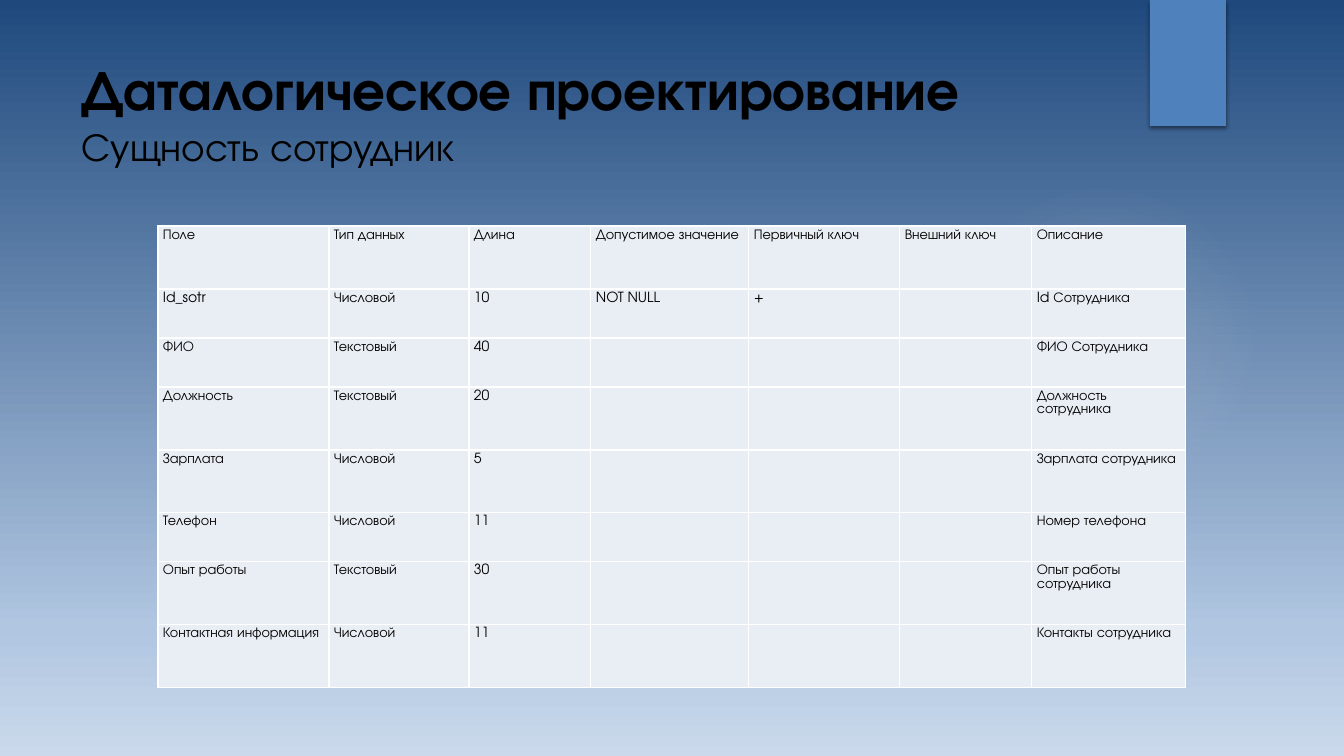
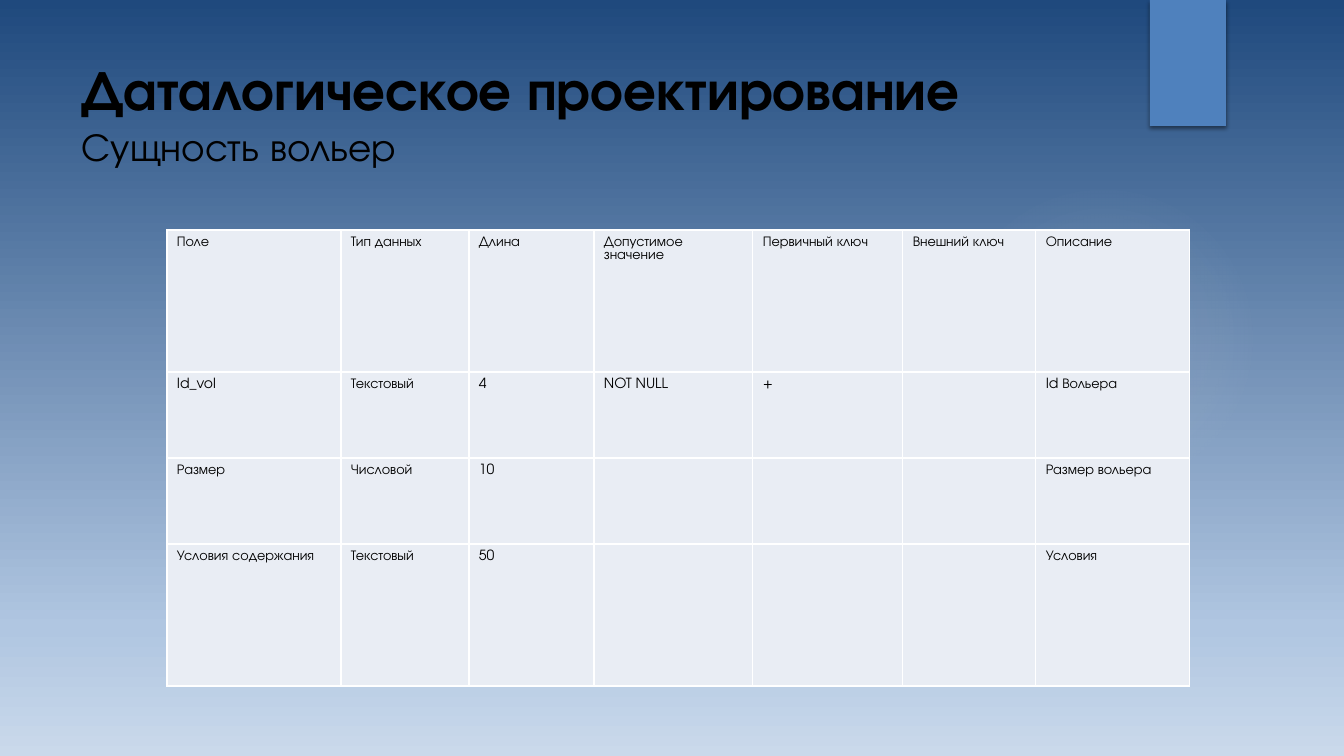
"""Build two slides that describe database entities as field tables."""
import pptx
import pptx.dml.color
import pptx.enum.shapes
import pptx.enum.text
import pptx.oxml
import pptx.oxml.ns
import pptx.util

PX = 914400 / 100.8
FONT = "TeX Gyre Adventor"
TEXT = "000000"
ACCENT = "4F81BD"
CELL = "E9EDF4"
BORDER = "FFFFFF"
GLOW = "F5F4ED"
BACKGROUND_STOPS = [(0, "1F497D", 100), (83, "B0C6E1", 100), (100, "CAD9EB", 100)]
GLOW_STOPS = [(0, GLOW, 7), (36, GLOW, 6), (69, GLOW, 0)]
LINEAR = '<a:lin ang="5400000" scaled="0"/>'
CIRCLE = '<a:path path="circle"><a:fillToRect l="50000" t="50000" r="50000" b="50000"/></a:path>'
NAMESPACE = pptx.oxml.ns.nsdecls("a")
HEADER = ["Поле", "Тип данных", "Длина", "Допустимое значение", "Первичный ключ", "Внешний ключ", "Описание"]

color = pptx.dml.color.RGBColor.from_string


def paint_gradient(properties, stops, direction):
    """Replace the empty fill of a properties element with a gradient."""
    stop_xml = "".join(
        f'<a:gs pos="{position * 1000}"><a:srgbClr val="{value}">'
        f'<a:alpha val="{opacity * 1000}"/></a:srgbClr></a:gs>'
        for position, value, opacity in stops
    )
    gradient = pptx.oxml.parse_xml(
        f'<a:gradFill {NAMESPACE} rotWithShape="1"><a:gsLst>{stop_xml}</a:gsLst>{direction}</a:gradFill>'
    )
    properties.replace(properties.find(pptx.oxml.ns.qn("a:noFill")), gradient)


def add_run(paragraph, text, size, bold=False):
    """Append a run in the shared font and colour."""
    run = paragraph.add_run()
    run.text = text
    run.font.name = FONT
    run.font.size = pptx.util.Pt(size)
    run.font.bold = bold
    run.font.color.rgb = color(TEXT)


entities = [
    {
        "subtitle": "Сущность сотрудник",
        "title_width": 1009,
        "left": 158,
        "top": 226,
        "columns": [171, 140, 122, 158, 151, 132, 154],
        "rows": [63, 49, 49, 63, 63, 49, 63, 63],
        "margins": (5, 2),
        "fields": [
            ["Id_sotr", "Числовой", "10", "NOT NULL", "+", "", "Id Сотрудника"],
            ["ФИО", "Текстовый", "40", "", "", "", "ФИО Сотрудника"],
            ["Должность", "Текстовый", "20", "", "", "", "Должность сотрудника"],
            ["Зарплата", "Числовой", "5", "", "", "", "Зарплата сотрудника"],
            ["Телефон", "Числовой", "11", "", "", "", "Номер телефона"],
            ["Опыт работы", "Текстовый", "30", "", "", "", "Опыт работы сотрудника"],
            ["Контактная информация", "Числовой", "11", "", "", "", "Контакты сотрудника"],
        ],
    },
    {
        "subtitle": "Сущность вольер",
        "title_width": 1037,
        "left": 167,
        "top": 230,
        "columns": [174, 128, 125, 159, 150, 133, 154],
        "rows": [142, 86, 86, 142],
        "margins": (10, 5),
        "fields": [
            ["Id_vol", "Текстовый", "4", "NOT NULL", "+", "", "Id Вольера"],
            ["Размер", "Числовой", "10", "", "", "", "Размер вольера"],
            ["Условия содержания", "Текстовый", "50", "", "", "", "Условия"],
        ],
    },
]

presentation = pptx.Presentation()
presentation.slide_width = round(1344 * PX)
presentation.slide_height = round(756 * PX)

master = presentation.slide_master
master.background.fill.background()
background = master.element.find(".//" + pptx.oxml.ns.qn("p:bgPr"))
paint_gradient(background, BACKGROUND_STOPS, LINEAR)

for entity in entities:
    slide = presentation.slides.add_slide(presentation.slide_layouts[6])

    glow = slide.shapes.add_shape(
        pptx.enum.shapes.MSO_SHAPE.OVAL, *(round(length * PX) for length in (949, 184, 310, 310))
    )
    glow.shadow.inherit = False
    glow.line.fill.background()
    glow.fill.background()
    paint_gradient(glow.element.spPr, GLOW_STOPS, CIRCLE)

    ribbon = slide.shapes.add_shape(
        pptx.enum.shapes.MSO_SHAPE.RECTANGLE, *(round(length * PX) for length in (1150, 0, 76, 126))
    )
    ribbon.shadow.inherit = False
    ribbon.line.fill.background()
    ribbon.fill.solid()
    ribbon.fill.fore_color.rgb = color(ACCENT)
    effects = ribbon.element.spPr.find(pptx.oxml.ns.qn("a:effectLst"))
    effects.append(pptx.oxml.parse_xml(
        f'<a:outerShdw {NAMESPACE} blurRad="38100" dist="25400" dir="5400000" rotWithShape="0">'
        f'<a:srgbClr val="{TEXT}"><a:alpha val="45000"/></a:srgbClr></a:outerShdw>'
    ))

    title = slide.shapes.add_textbox(
        *(round(length * PX) for length in (72, 50, entity["title_width"], 154))
    )
    title.text_frame.word_wrap = True
    title.text_frame.vertical_anchor = pptx.enum.text.MSO_ANCHOR.TOP
    paragraph = title.text_frame.paragraphs[0]
    add_run(paragraph, "Даталогическое проектирование", 40, bold=True)
    paragraph.add_line_break()
    add_run(paragraph, entity["subtitle"], 28)

    widths, heights = entity["columns"], entity["rows"]
    bounds = (entity["left"], entity["top"], sum(widths), sum(heights))
    table = slide.shapes.add_table(
        len(heights), len(widths), *(round(length * PX) for length in bounds)
    ).table
    table.first_row = False
    table.horz_banding = False
    for column, width in zip(table.columns, widths):
        column.width = round(width * PX)
    for row, height, texts in zip(table.rows, heights, [HEADER] + entity["fields"]):
        row.height = round(height * PX)
        for cell, text in zip(row.cells, texts):
            horizontal, vertical = entity["margins"]
            cell.margin_left = cell.margin_right = round(horizontal * PX)
            cell.margin_top = cell.margin_bottom = round(vertical * PX)
            cell.fill.solid()
            cell.fill.fore_color.rgb = color(CELL)
            properties = cell._tc.get_or_add_tcPr()
            for index, side in enumerate("LRTB"):
                properties.insert(index, pptx.oxml.parse_xml(
                    f'<a:ln{side} {NAMESPACE} w="12700"><a:solidFill>'
                    f'<a:srgbClr val="{BORDER}"/></a:solidFill></a:ln{side}>'
                ))
            if text:
                paragraph = cell.text_frame.paragraphs[0]
                paragraph.line_spacing = 1.07
                add_run(paragraph, text, 10)

presentation.save("out.pptx")
